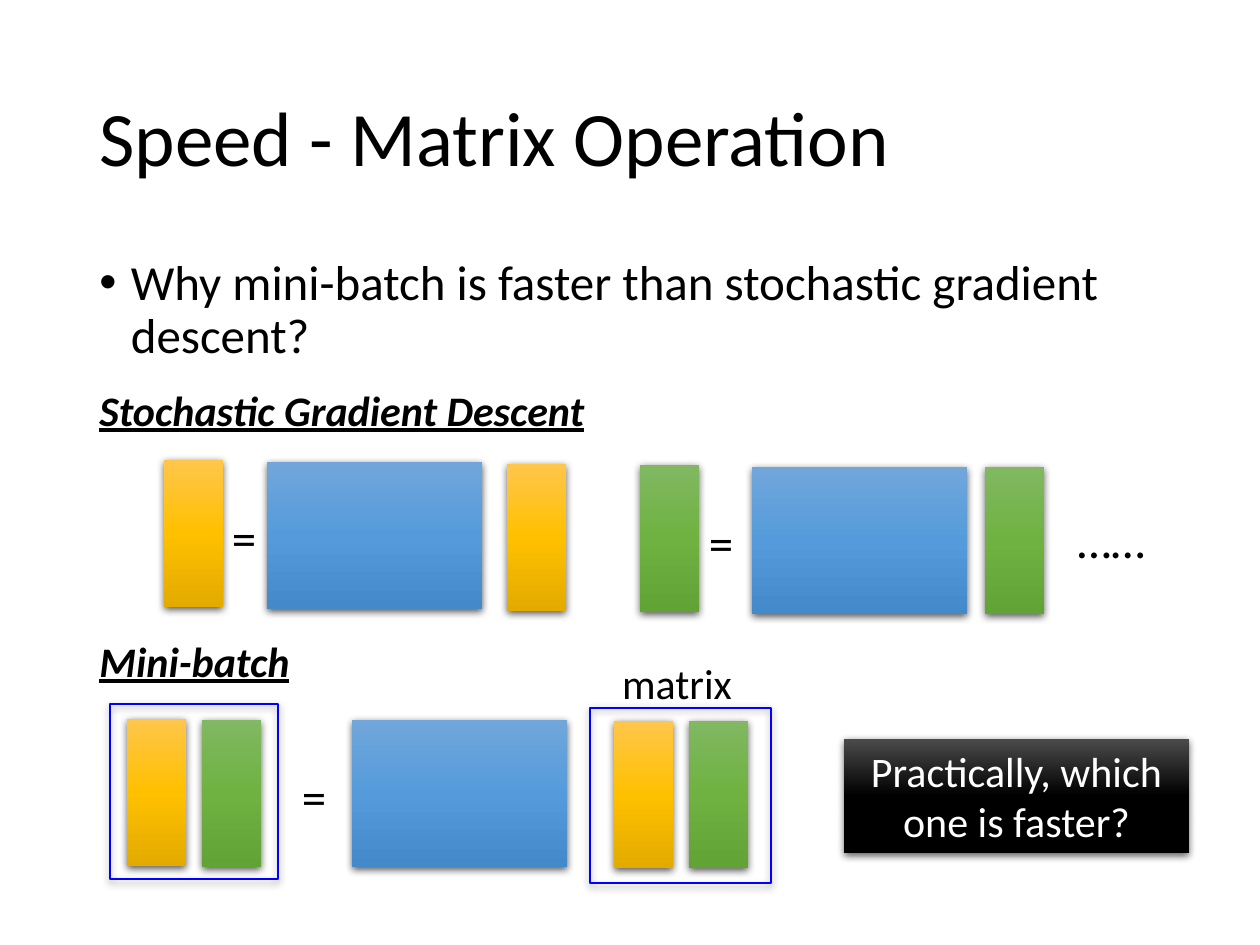
import copy
from dataclasses import dataclass

import lxml.etree
import pptx
import pptx.dml.color
import pptx.enum.shapes
import pptx.enum.text
import pptx.oxml.ns
import pptx.util


@dataclass(frozen=True)
class Theme:
    font: str = "Calibri"
    text: str = "000000"
    inverse: str = "FFFFFF"
    frame: str = "0000FF"
    shadow: str = "000000"
    blue: tuple = ("71A6DB", "559BDB", "448ACA")
    yellow: tuple = ("FFC64B", "FFC000", "E3AB00")
    green: tuple = ("81B861", "6FB242", "62A336")
    black: tuple = ("4B4B4B", "000000", "000000")
    title_size: int = 44
    body_size: int = 28
    label_size: int = 24


theme = Theme()
PX = 914400 / 126
MATRIX = (215, 147)
VECTOR = (59, 147)
LEFT = pptx.enum.text.PP_ALIGN.LEFT
CENTER = pptx.enum.text.PP_ALIGN.CENTER
qn = pptx.oxml.ns.qn


def write_text(box, text, size, color=theme.text, align=LEFT, anchor="TOP",
               heading=False, spacing=None, bullet=None):
    frame = box.text_frame
    frame.word_wrap = True
    frame.auto_size = pptx.enum.text.MSO_AUTO_SIZE.NONE
    frame.vertical_anchor = pptx.enum.text.MSO_ANCHOR[anchor]
    para = frame.paragraphs[0]
    para.alignment = align
    if spacing:
        para.line_spacing = spacing
    if bullet:
        properties = para._p.get_or_add_pPr()
        properties.set("marL", "228600")
        properties.set("indent", "-228600")
        lxml.etree.SubElement(properties, qn("a:buFont"), typeface="Arial")
        lxml.etree.SubElement(properties, qn("a:buChar"), char=bullet)
    span = para.add_run()
    span.text = text
    span.font.name = theme.font
    span.font.size = pptx.util.Pt(size)
    span.font.color.rgb = pptx.dml.color.RGBColor.from_string(color)
    if heading:
        span.font.bold = span.font.italic = span.font.underline = True


def draw_block(left, top, width, height, colors=None):
    block = page.shapes.add_shape(
        pptx.enum.shapes.MSO_SHAPE.RECTANGLE,
        *(round(value * PX) for value in (left, top, width, height)))
    if colors:
        block.fill.gradient()
        block.fill.gradient_angle = 270
        stop_list = block._element.spPr.find(".//" + qn("a:gsLst"))
        stop_list.append(copy.deepcopy(stop_list[0]))
        for stop, color, position in zip(block.fill.gradient_stops, colors, (0, 0.5, 1)):
            stop.color.rgb = pptx.dml.color.RGBColor.from_string(color)
            stop.position = position
        block.line.fill.background()
    else:
        block.fill.background()
        block.line.color.rgb = pptx.dml.color.RGBColor.from_string(theme.frame)
        block.line.width = pptx.util.Pt(0.75)
    block.shadow.inherit = False
    effects = block._element.spPr.find(qn("a:effectLst"))
    shadow = lxml.etree.SubElement(
        effects, qn("a:outerShdw"), blurRad="57150", dist="19050",
        dir="5400000", algn="ctr", rotWithShape="0")
    shade = lxml.etree.SubElement(shadow, qn("a:srgbClr"), val=theme.shadow)
    lxml.etree.SubElement(shade, qn("a:alpha"), val="63000")
    return block


deck = pptx.Presentation()
deck.slide_width = round(1260 * PX)
deck.slide_height = round(945 * PX)
page = deck.slides.add_slide(deck.slide_layouts[5])

title = page.shapes.title
title.left, title.top, title.width, title.height = (
    round(value * PX) for value in (87, 50, 1086, 183))
write_text(title, "Speed - Matrix Operation", size=theme.title_size,
           anchor="MIDDLE", spacing=0.9)

for left, top in ((267, 462), (752, 467), (352, 720)):
    draw_block(left, top, *MATRIX, theme.blue)

draw_block(590, 708, 181, 175)
draw_block(110, 704, 168, 175)

for left, top, colors in (
    (164, 460, theme.yellow),
    (507, 464, theme.yellow),
    (640, 465, theme.green),
    (985, 467, theme.green),
    (127, 719, theme.yellow),
    (202, 720, theme.green),
    (614, 721, theme.yellow),
    (689, 721, theme.green),
):
    draw_block(left, top, *VECTOR, colors)

callout = draw_block(844, 739, 345, 114, theme.black)
write_text(callout, "Practically, which one is faster?", size=theme.label_size,
           color=theme.inverse, align=CENTER, anchor="MIDDLE")

heading = dict(size=theme.label_size, heading=True)
symbol = dict(size=theme.body_size, align=CENTER)
for text, place, style in (
    ("Why mini-batch is faster than stochastic gradient descent?",
     (87, 252, 1086, 600), dict(size=theme.body_size, spacing=0.9, bullet="•")),
    ("Stochastic Gradient Descent", (87, 378, 587, 63), heading),
    ("Mini-batch", (87, 629, 587, 63), heading),
    ("matrix", (585, 651, 184, 63), dict(size=theme.label_size, align=CENTER)),
    ("=", (205, 501, 78, 72), symbol),
    ("=", (682, 506, 78, 72), symbol),
    ("=", (275, 760, 78, 72), symbol),
    ("……", (1040, 503, 142, 72), symbol),
):
    box = page.shapes.add_textbox(*(round(value * PX) for value in place))
    write_text(box, text, **style)

deck.save("out.pptx")
